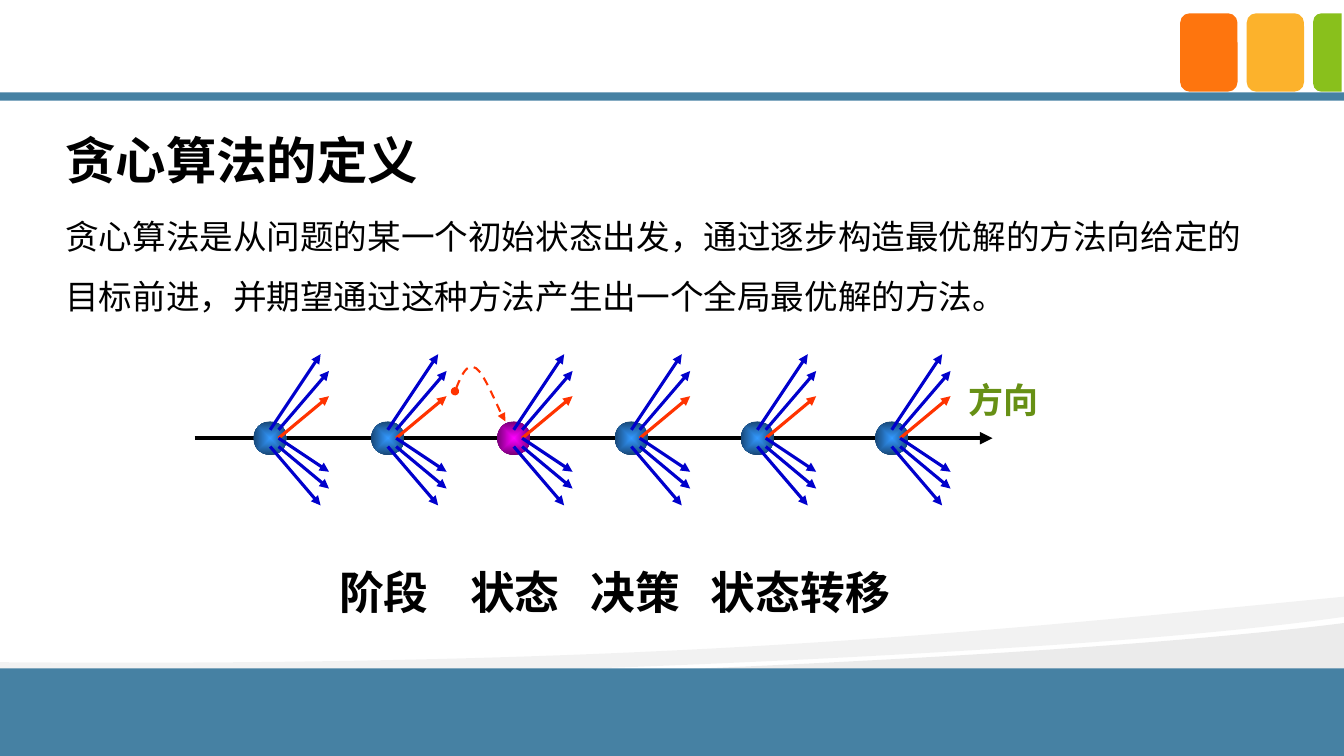
from lxml import etree
from pptx import Presentation
from pptx.dml.color import RGBColor
from pptx.enum.dml import MSO_LINE
from pptx.enum.shapes import MSO_CONNECTOR, MSO_SHAPE
from pptx.enum.text import MSO_ANCHOR, PP_ALIGN
from pptx.oxml.ns import qn
from pptx.util import Pt

STRAIGHT = MSO_CONNECTOR.STRAIGHT
RECTANGLE = MSO_SHAPE.RECTANGLE
ROUNDED = MSO_SHAPE.ROUNDED_RECTANGLE
ROUNDED_TOP = MSO_SHAPE.ROUND_2_SAME_RECTANGLE
OVAL = MSO_SHAPE.OVAL
DASH = MSO_LINE.DASH
TOP = MSO_ANCHOR.TOP
LEFT = PP_ALIGN.LEFT

BLACK = RGBColor(0x00, 0x00, 0x00)
STEEL = RGBColor(0x46, 0x81, 0xA3)
ORANGE = RGBColor(0xFE, 0x75, 0x0E)
AMBER = RGBColor(0xFC, 0xB2, 0x2C)
GREEN = RGBColor(0x89, 0xC0, 0x1C)
OLIVE = RGBColor(0x67, 0x90, 0x15)
ARROW_BLUE = RGBColor(0x00, 0x00, 0xCC)
ARROW_RED = RGBColor(0xFF, 0x33, 0x00)
BLUE_BALL = (RGBColor(0x33, 0x99, 0xFF), RGBColor(0x18, 0x47, 0x76))
PINK_BALL = (RGBColor(0xFF, 0x00, 0xFF), RGBColor(0x76, 0x00, 0x76))

SANS = "Noto Sans CJK SC"
# Distance of each ball from the start of the axis
STAGES = [(54, BLUE_BALL), (138, BLUE_BALL), (228, PINK_BALL),
          (312, BLUE_BALL), (402, BLUE_BALL), (498, BLUE_BALL)]
# Start and end of each decision arrow, measured from the centre of its ball
FAN = [((0, -6), (36, -60), ARROW_BLUE), ((6, -6), (42, -48), ARROW_BLUE),
       ((6, 0), (42, -30), ARROW_RED), ((6, 0), (42, 24), ARROW_BLUE),
       ((6, 6), (42, 36), ARROW_BLUE), ((0, 6), (36, 48), ARROW_BLUE)]


def add_block(slide, kind, left, top, width, height, colour=None):
    shape = slide.shapes.add_shape(kind, Pt(left), Pt(top), Pt(width), Pt(height))
    shape.shadow.inherit = False
    shape.line.fill.background()
    if colour is not None:
        shape.fill.solid()
        shape.fill.fore_color.rgb = colour
    return shape


def add_outline(slide, left, top, start, segments, close):
    """Segments hold one point for a line or three for a cubic curve."""
    points = [start] + [point for segment in segments for point in segment]
    placed = [(Pt(left + x), Pt(top + y)) for x, y in points]
    builder = slide.shapes.build_freeform(*placed[0])
    builder.add_line_segments(placed[1:], close=close)
    shape = builder.convert_to_shape()
    shape.shadow.inherit = False
    lines = iter(list(shape._element.spPr.iter(qn("a:lnTo"))))
    for segment in segments:
        first, *others = [next(lines) for _ in segment]
        if others:
            first.tag = qn("a:cubicBezTo")
            for other in others:
                first.append(other[0])
                other.getparent().remove(other)
    return shape


def style_line(shape, colour, width, head=None):
    shape.line.color.rgb = colour
    shape.line.width = Pt(width)
    line = shape._element.spPr.find(qn("a:ln"))
    if head:
        etree.SubElement(line, qn("a:headEnd"), type=head)
    etree.SubElement(line, qn("a:tailEnd"), type="triangle")


def add_arrow(slide, start, end, colour, width):
    arrow = slide.shapes.add_connector(STRAIGHT, *(Pt(value) for value in (*start, *end)))
    style_line(arrow, colour, width)
    etree.SubElement(arrow._element.spPr, qn("a:effectLst"))


def add_ball(slide, x, y, diameter, colours):
    ball = add_block(slide, OVAL, x - diameter / 2, y - diameter / 2, diameter, diameter)
    ball.fill.gradient()
    for stop, colour, position in zip(ball.fill.gradient_stops, colours, (0, 1)):
        stop.color.rgb = colour
        stop.position = position
    gradient = ball._element.spPr.find(qn("a:gradFill"))
    gradient.remove(gradient.find(qn("a:lin")))
    radial = etree.SubElement(gradient, qn("a:path"), path="shape")
    etree.SubElement(radial, qn("a:fillToRect"), l="50000", t="50000", r="50000", b="50000")


def write_text(shape, text, size, font_name, colour=BLACK, bold=False, spacing=1.0):
    frame = shape.text_frame
    frame.word_wrap = True
    frame.vertical_anchor = TOP
    frame.text = text
    paragraph = frame.paragraphs[0]
    paragraph.line_spacing = spacing
    paragraph.alignment = LEFT
    for run in paragraph.runs:
        run.font.size = Pt(size)
        run.font.name = font_name
        run.font.bold = bold
        run.font.color.rgb = colour
        etree.SubElement(run._r.get_or_add_rPr(), qn("a:ea"), typeface=SANS)
    return paragraph


def add_text(slide, left, top, width, height, text, size, font_name, **style):
    box = slide.shapes.add_textbox(Pt(left), Pt(top), Pt(width), Pt(height))
    return write_text(box, text, size, font_name, **style)


def add_waves(slide, left, top):
    lower = [[(960, 114)], [(0, 114)], [(0, 60)], [(253.5, 65.8), (750.2, 45.6), (960, 19)]]
    upper = [[(960, 14.6)], [(903.6, 22.6), (827.3, 29.8), (740.9, 35.5)],
             [(502.6, 51.4), (185.8, 61.4), (0, 57.1)], [(0, 47)],
             [(469.4, 50.6), (699.1, 25.4), (960, 0.2)]]
    for start, segments, alpha in (((960, 19), lower, 8), ((960, 0.2), upper, 5)):
        wave = add_outline(slide, left, top, start, segments, True)
        wave.line.fill.background()
        wave.fill.solid()
        wave.fill.fore_color.rgb = BLACK
        colour = wave._element.spPr.find(qn("a:solidFill"))[0]
        etree.SubElement(colour, qn("a:alpha"), val=str(alpha * 1000))


def add_bands(slide, left, width):
    for top, height in ((477.5, 62.5), (66, 6)):
        add_block(slide, RECTANGLE, left, top, width, height, STEEL)


def add_tiles(slide, left, top, height):
    for index, colour in enumerate((ORANGE, AMBER)):
        add_block(slide, ROUNDED, left + 47.5 * index, top, 41, height, colour)
    width = 20.4
    edge = add_block(slide, ROUNDED_TOP, left + 95 + (width - height) / 2,
                     top + (height - width) / 2, height, width, GREEN)
    edge.rotation = 270
    edge.adjustments[0] = 0.29


def add_title(slide, left, top, width, height):
    title = slide.shapes.title
    title.left, title.top, title.width, title.height = (
        Pt(left), Pt(top), Pt(width), Pt(height))
    write_text(title, "贪心算法的定义", 36, SANS, bold=True, spacing=2.0)


def add_stage_diagram(slide, left, top, width, height):
    """Axis of stages, each with a fan of possible decisions."""
    middle = top + height / 2
    add_arrow(slide, (left, middle), (left + width, middle), BLACK, 3)
    for offset, colours in STAGES:
        add_ball(slide, left + offset, middle, 24, colours)
    for offset, _ in STAGES:
        x = left + offset
        for (start_x, start_y), (end_x, end_y), colour in FAN:
            add_arrow(slide, (x + start_x, middle + start_y),
                      (x + end_x, middle + end_y), colour, 2.25)
    add_text(slide, left + 546, middle - 46, 90, 37.5, "方向", 25, "Arial",
             colour=OLIVE, bold=True)
    transition = add_outline(slide, left + 186, middle - 54, (0, 20.5),
                             [[(4, 10.5), (8.5, 0), (15, 4)],
                              [(20.5, 7.5), (32, 35.5), (36, 42)]], False)
    transition.fill.background()
    transition.line.dash_style = DASH
    style_line(transition, ARROW_RED, 1.5, head="oval")


def add_key_terms(slide, left, top, width, height):
    paragraph = add_text(slide, left, top, width, height, "阶段\t状态\t决策\t状态转移",
                         32, "TeX Gyre Pagella", bold=True)
    tabs = etree.SubElement(paragraph._p.get_or_add_pPr(), qn("a:tabLst"))
    for position in (93.5, 179.5, 265.5):
        etree.SubElement(tabs, qn("a:tab"), pos=str(Pt(position)), algn="l")


def main():
    presentation = Presentation()
    presentation.slide_width, presentation.slide_height = Pt(960), Pt(540)
    slide = presentation.slides.add_slide(presentation.slide_layouts[5])
    add_waves(slide, 0, 426)
    add_bands(slide, -2, 964)
    add_tiles(slide, 843, 9.5, 56)
    add_title(slide, 39.5, 45.5, 768, 75)
    add_text(slide, 39.5, 136, 857, 298,
             "贪心算法是从问题的某一个初始状态出发，通过逐步构造最优解的方法向给定的"
             "目标前进，并期望通过这种方法产生出一个全局最优解的方法。",
             24, SANS, spacing=1.5)
    add_stage_diagram(slide, 139, 253, 570, 120)
    add_key_terms(slide, 235.2, 399.5, 420, 46)
    presentation.save("out.pptx")


if __name__ == "__main__":
    main()
